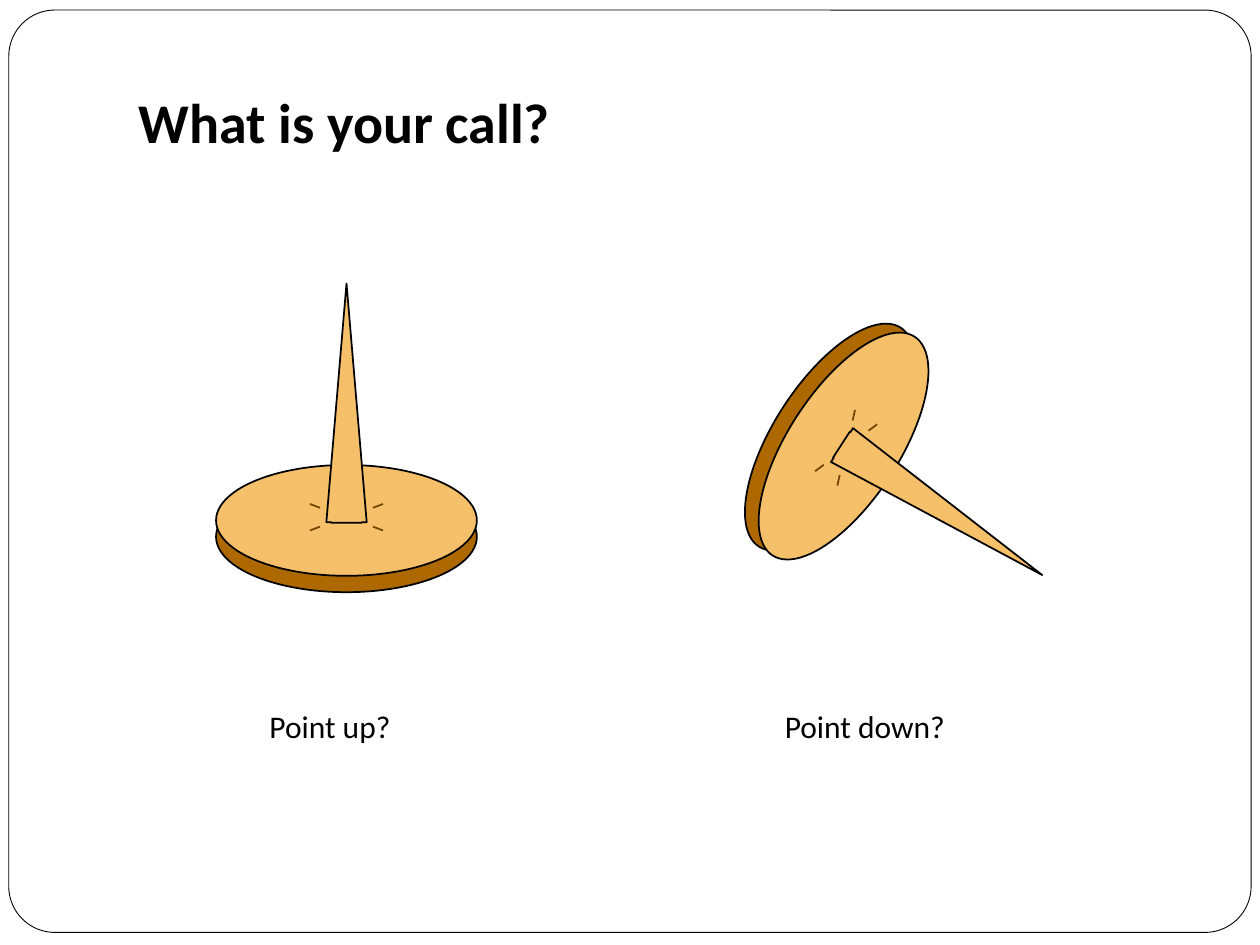
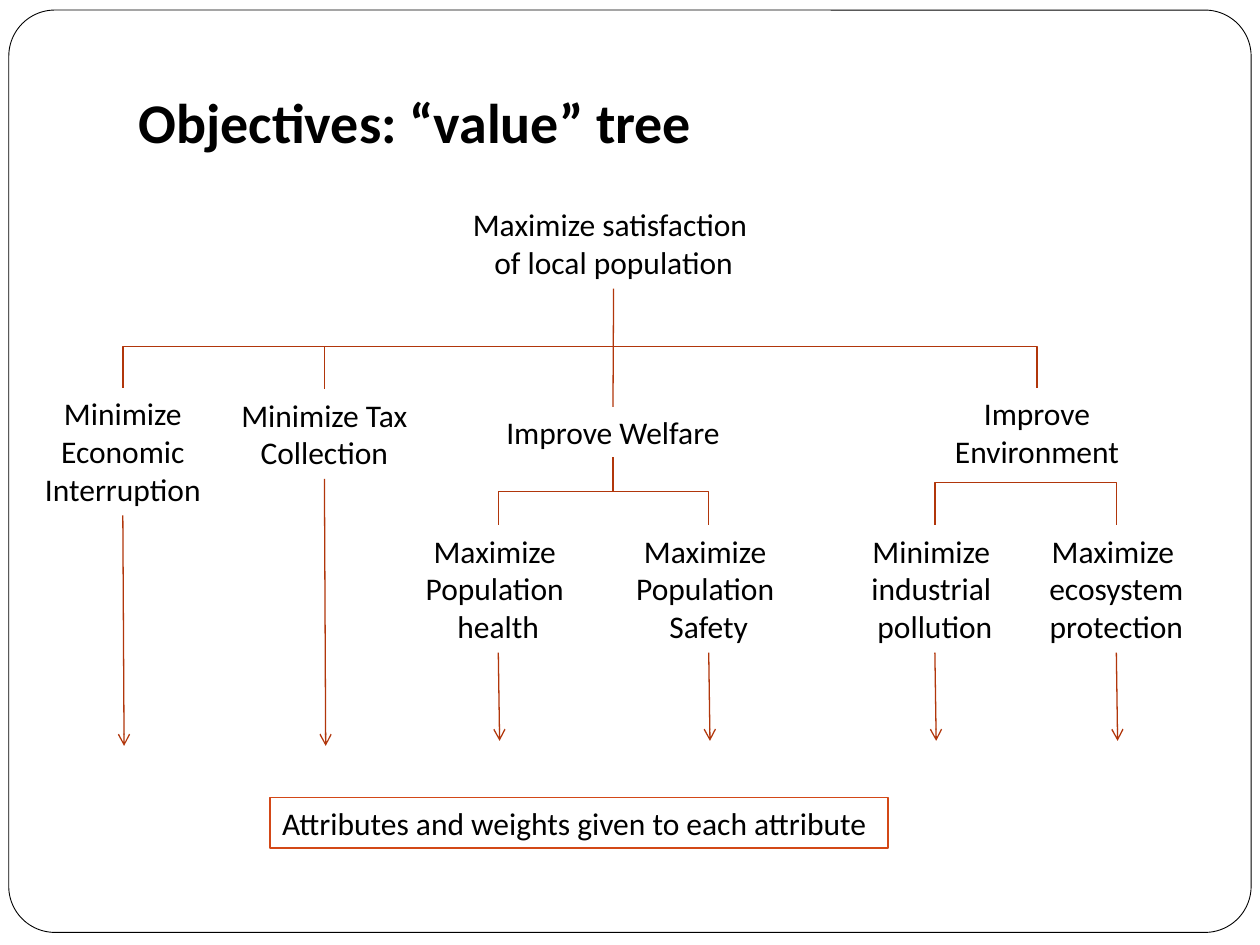
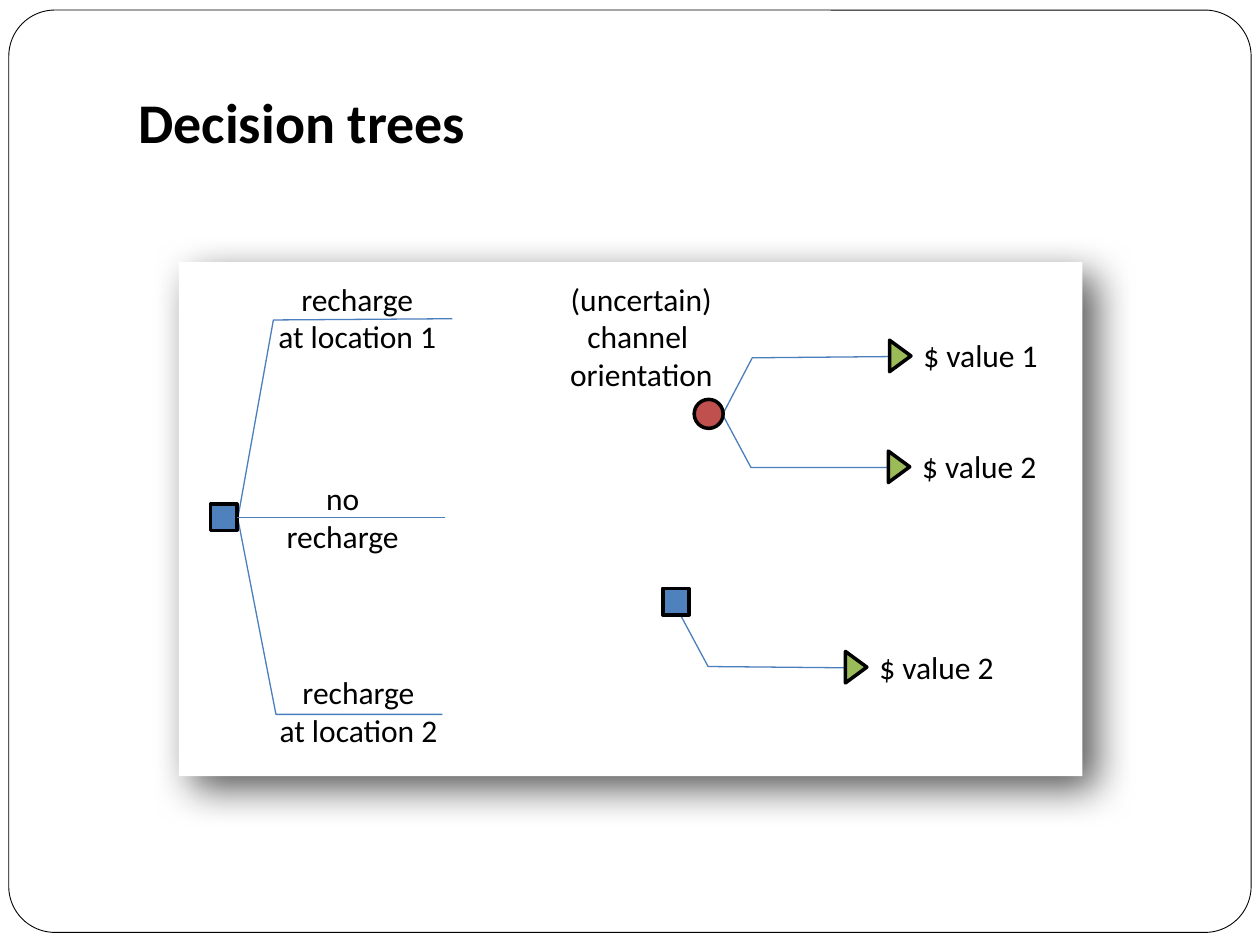
from dataclasses import dataclass
from math import cos, radians, sin

from lxml.etree import SubElement
from pptx import Presentation
from pptx.dml.color import RGBColor
from pptx.enum.shapes import MSO_CONNECTOR as LINK, MSO_SHAPE as SHAPE
from pptx.enum.text import MSO_ANCHOR as ANCHOR, MSO_AUTO_SIZE as FIT, PP_ALIGN as ALIGN
from pptx.oxml.ns import qn
from pptx.util import Inches, Pt

FONT = "Calibri"
COLORS = {
    "ink": "000000", "paper": "FFFFFF",
    "tack": "F6BF69", "tack_edge": "AD6900", "tick": "714400",
    "tree": "B1360B", "note": "D34817",
    "branch": "4B7EBC", "decision": "4F81BD", "chance": "C0504D", "outcome": "9BBB59",
}
TOP, BOTTOM, RIGHT = 0, 2, 3
COLUMNS, ROWS = 100, 75


def grid(cells):
    """Length of a number of grid cells, a tenth of an inch each."""
    return Inches(cells / 10)


@dataclass
class Area:
    """A box measured in grid cells."""
    left: float
    top: float
    width: float
    height: float

    def inset(self, x, y, width, height):
        return Area(self.left + x, self.top + y, width, height)

    def point(self, x, y):
        return self.left + x, self.top + y

    def emu(self):
        return [grid(v) for v in (self.left, self.top, self.width, self.height)]


def rgb(name):
    return RGBColor.from_string(COLORS[name])


def around(x, y, width, height):
    return Area(x - width / 2, y - height / 2, width, height)


def add_block(shapes, preset, area, fill, line="ink", weight=1, rotation=0):
    block = shapes.add_shape(preset, *area.emu())
    block.shadow.inherit = False
    block.fill.solid()
    block.fill.fore_color.rgb = rgb(fill)
    if line:
        block.line.color.rgb = rgb(line)
        block.line.width = Pt(weight)
    else:
        block.line.fill.background()
    block.rotation = rotation
    return block


def write(holder, text, size=18, bold=False, align=ALIGN.LEFT, wrap=True):
    frame = holder.text_frame
    frame.word_wrap = wrap
    frame.auto_size = FIT.SHAPE_TO_FIT_TEXT
    frame.vertical_anchor = ANCHOR.TOP
    frame.text = text
    for paragraph in frame.paragraphs:
        paragraph.alignment = align
        for run in paragraph.runs:
            font = run.font
            font.name, font.size, font.bold = FONT, Pt(size), bold
            font.color.rgb = rgb("ink")


def add_label(shapes, area, text, **style):
    label = shapes.add_textbox(*area.emu())
    write(label, text, **style)
    return label


def add_link(shapes, start, end, color, weight=0.75, kind=LINK.STRAIGHT, arrow=False):
    link = shapes.add_connector(kind, *[grid(v) for v in (*start, *end)])
    link.line.color.rgb = rgb(color)
    link.line.width = Pt(weight)
    outline = link.element.spPr
    if arrow:
        SubElement(outline.find(qn("a:ln")), qn("a:tailEnd"), type="arrow")
    SubElement(outline, qn("a:effectLst"))
    return link


def turn(link, area, preset, **turns):
    """Give an elbow its bend, its unturned box, and its rotation and flips."""
    outline = link.element.spPr
    outline.prstGeom.set("prst", preset)
    for key in ("rot", "flipH", "flipV"):
        outline.xfrm.attrib.pop(key, None)
    for key, value in turns.items():
        outline.xfrm.set(key, value)
    link.left, link.top, link.width, link.height = area.emu()


def add_path(shapes, points, color):
    (x, y), *others = points
    pen = shapes.build_freeform(grid(x), grid(y))
    pen.add_line_segments([(grid(a), grid(b)) for a, b in others], close=False)
    trace = pen.convert_to_shape()
    trace.shadow.inherit = False
    trace.fill.background()
    trace.line.color.rgb = rgb(color)
    trace.line.width = Pt(0.75)


def start_slide(deck, title):
    """Add a blank slide with the rounded frame and the title."""
    shapes = deck.slides.add_slide(deck.slide_layouts[6]).shapes
    frame = add_block(shapes, SHAPE.ROUNDED_RECTANGLE, Area(0.7, 0.8, 98.6, 73.2), "paper", weight=0.5)
    frame.adjustments[0] = 0.05
    heading = add_label(shapes, Area(10, 0.8, 85, 12.5), title, size=32, bold=True)
    heading.text_frame.auto_size = FIT.NONE
    heading.text_frame.vertical_anchor = ANCHOR.BOTTOM
    heading.text_frame.margin_bottom = grid(1)
    return shapes


# Thumbtacks

def add_tack(shapes, centre, angle):
    """Draw a thumbtack turned by an angle about the centre of its disc."""
    cosine, sine = cos(radians(angle)), sin(radians(angle))

    def turned(x, y):
        return centre[0] + x * cosine - y * sine, centre[1] + x * sine + y * cosine

    for drop, fill in ((1.3, "tack_edge"), (0, "tack")):
        add_block(shapes, SHAPE.OVAL, around(*turned(0, drop), 20.7, 8.8), fill, rotation=angle)
    for side in (1, -1):
        for inner, outer in ((-1, -1.3), (0.5, 0.8)):
            add_link(shapes, turned(2.1 * side, inner), turned(2.9 * side, outer), "tick", 1)
    pin = add_block(shapes, SHAPE.UP_ARROW, around(*turned(0, -9.3), 3.2, 19), "tack", rotation=angle)
    pin.adjustments[0], pin.adjustments[1] = 0.75, 5.92


def add_call(shapes, area, disc, angle, caption, caption_left, caption_width):
    call = shapes.add_group_shape().shapes
    add_label(call, area.inset(caption_left, 33.1, caption_width, 4), caption, wrap=False)
    add_tack(call, area.point(*disc), angle)


def build_calls(deck):
    shapes = start_slide(deck, "What is your call?")
    add_call(shapes, Area(17.2, 22.5, 20.7, 37.1), (10.3, 18.8), 0, "Point up?", 3.2, 12.6)
    add_call(shapes, Area(55.6, 22.5, 27.2, 37.1), (11.35, 12.9), 123, "Point down?", 5.7, 15.8)


# Value tree

GOALS = {
    "root": ((33.9, 0, 24.6, 7.1), "Maximize satisfaction \nof local population"),
    "economy": ((0, 15, 14.5, 10.1), "Minimize\nEconomic\nInterruption"),
    "tax": ((15.6, 15.1, 15.3, 7.1), "Minimize Tax\nCollection"),
    "welfare": ((36.6, 16.5, 19.1, 4), "Improve Welfare"),
    "environment": ((72.2, 15, 15.2, 7.1), "Improve\nEnvironment"),
    "health": ((30.2, 25.9, 13.7, 10.1), "Maximize \nPopulation \nhealth"),
    "safety": ((46.9, 25.9, 13.7, 10.1), "Maximize \nPopulation \nSafety"),
    "pollution": ((65.6, 25.9, 12.2, 10.1), "Minimize \nindustrial \npollution"),
    "ecosystem": ((79.7, 25.9, 12.8, 10.1), "Maximize \necosystem\nprotection"),
}
RAILS = {"root": (11.7, ("economy", "tax", "environment")),
         "environment": (22.5, ("pollution", "ecosystem"))}
ARROW_ENDS = {"economy": 43.4, "tax": 43.4, "health": 43, "safety": 43,
              "pollution": 43, "ecosystem": 43}


def add_value_tree(shapes, area):
    spots = {goal: area.inset(*place) for goal, (place, _) in GOALS.items()}
    labels = {goal: add_label(shapes, spots[goal], text, align=ALIGN.CENTER)
              for goal, (_, text) in GOALS.items()}

    def top(goal):
        return spots[goal].left + spots[goal].width / 2, spots[goal].top

    def bottom(goal):
        return top(goal)[0], spots[goal].top + spots[goal].height

    trunk = add_link(shapes, bottom("root"), top("welfare"), "tree")
    trunk.begin_connect(labels["root"], BOTTOM)
    trunk.end_connect(labels["welfare"], TOP)

    for goal in ("health", "safety"):
        (x, y), (end_x, end_y) = bottom("welfare"), top(goal)
        fork = add_link(shapes, (x, y), (end_x, end_y), "tree", kind=LINK.ELBOW)
        fork.begin_connect(labels["welfare"], BOTTOM)
        fork.end_connect(labels[goal], TOP)
        turns = {"rot": "5400000"} if end_x < x else {"rot": "16200000", "flipH": "1"}
        box = around((x + end_x) / 2, (y + end_y) / 2, end_y - y, abs(end_x - x))
        turn(fork, box, "bentConnector3", **turns)

    for parent, (rail, children) in RAILS.items():
        x, y = top(parent)[0], area.top + rail
        for goal in children:
            end_x, end_y = top(goal)
            bend = add_link(shapes, (x, y), (end_x, end_y), "tree", kind=LINK.ELBOW)
            bend.end_connect(labels[goal], TOP)
            turns = {"rot": "10800000", "flipV": "1"} if end_x < x else {}
            box = Area(min(x, end_x), y, abs(end_x - x), end_y - y)
            turn(bend, box, "bentConnector2", **turns)

    for goal, end in ARROW_ENDS.items():
        x, y = bottom(goal)
        arrow = add_link(shapes, (x, y), (x + 0.1, area.top + end), "tree", arrow=True)
        arrow.begin_connect(labels[goal], BOTTOM)

    note = add_block(shapes, SHAPE.RECTANGLE, area.inset(18.9, 47.5, 49.1, 4), "paper", "note")
    write(note, "Attributes and weights given to each attribute")


def build_objectives(deck):
    shapes = start_slide(deck, "Objectives: “value” tree")
    add_value_tree(shapes, Area(2.5, 15.8, 92.5, 51.5))


# Decision trees

def add_panel(shapes, area):
    panel = add_block(shapes, SHAPE.RECTANGLE, area, "paper", line=None)
    effects = panel.element.spPr.find(qn("a:effectLst"))
    shadow = SubElement(effects, qn("a:outerShdw"), blurRad=str(Pt(23)), dist=str(Pt(11)),
                        dir="2700000", algn="tl", rotWithShape="0")
    shade = SubElement(shadow, qn("a:srgbClr"), val=COLORS["ink"])
    SubElement(shade, qn("a:alpha"), val="65000")


def add_node(shapes, preset, area, fill):
    return add_block(shapes, preset, area, fill, weight=2)


def add_choices(shapes, area):
    for points in (((4.7, 20.2), (7.5, 4.6), (21.7, 4.5)),
                   ((4.7, 20.5), (7.7, 35.9), (20.9, 35.9))):
        add_path(shapes, [area.point(*p) for p in points], "branch")
    square = add_node(shapes, SHAPE.RECTANGLE, area.inset(2.5, 19.2, 2.1, 2.1), "decision")
    middle = add_link(shapes, area.point(4.6, 20.25), area.point(21.1, 20.25), "branch")
    middle.begin_connect(square, RIGHT)
    for place, text in (((6.7, 0.9, 14.9, 7.1), "recharge\nat location 1"),
                        ((7.5, 16.7, 11, 7.1), "no\nrecharge"),
                        ((6.8, 32.1, 14.9, 7.1), "recharge\nat location 2")):
        add_label(shapes, area.inset(*place), text, align=ALIGN.CENTER, wrap=False)


def add_outcome(shapes, area, points, value):
    """Draw a branch that ends in a triangle with its value."""
    add_path(shapes, [area.point(*p) for p in points], "branch")
    x, y = points[-1]
    flag = add_node(shapes, SHAPE.ISOSCELES_TRIANGLE, area.inset(x - 0.4, y - 0.9, 2.5, 1.7), "outcome")
    flag.rotation = 90
    add_label(shapes, area.inset(x + 1.7, y - 2.1, 11.2, 4), value, wrap=False)


def add_outcomes(shapes, area):
    for points, value in (
            (((43.2, 12), (45.5, 7.6), (56.4, 7.5)), "$ value 1"),
            (((43.2, 12.2), (45.4, 16.3), (56.3, 16.3)), "$ value 2"),
            (((39.8, 28), (42, 32.1), (52.9, 32.2)), "$ value 2")):
        add_outcome(shapes, area, points, value)
    add_node(shapes, SHAPE.OVAL, area.inset(40.9, 10.9, 2.3, 2.3), "chance")
    add_node(shapes, SHAPE.RECTANGLE, area.inset(38.4, 25.9, 2.1, 2.1), "decision")
    add_label(shapes, area.inset(30, 0.9, 13.4, 10.1), "(uncertain)\nchannel \norientation",
              align=ALIGN.CENTER, wrap=False)


def build_decisions(deck):
    shapes = start_slide(deck, "Decision trees")
    panel = Area(14.2, 20.8, 71.7, 40.8)
    add_panel(shapes, panel)
    add_choices(shapes, panel)
    add_outcomes(shapes, panel)


def main():
    deck = Presentation()
    deck.slide_width, deck.slide_height = grid(COLUMNS), grid(ROWS)
    build_calls(deck)
    build_objectives(deck)
    build_decisions(deck)
    deck.save("out.pptx")


if __name__ == "__main__":
    main()
